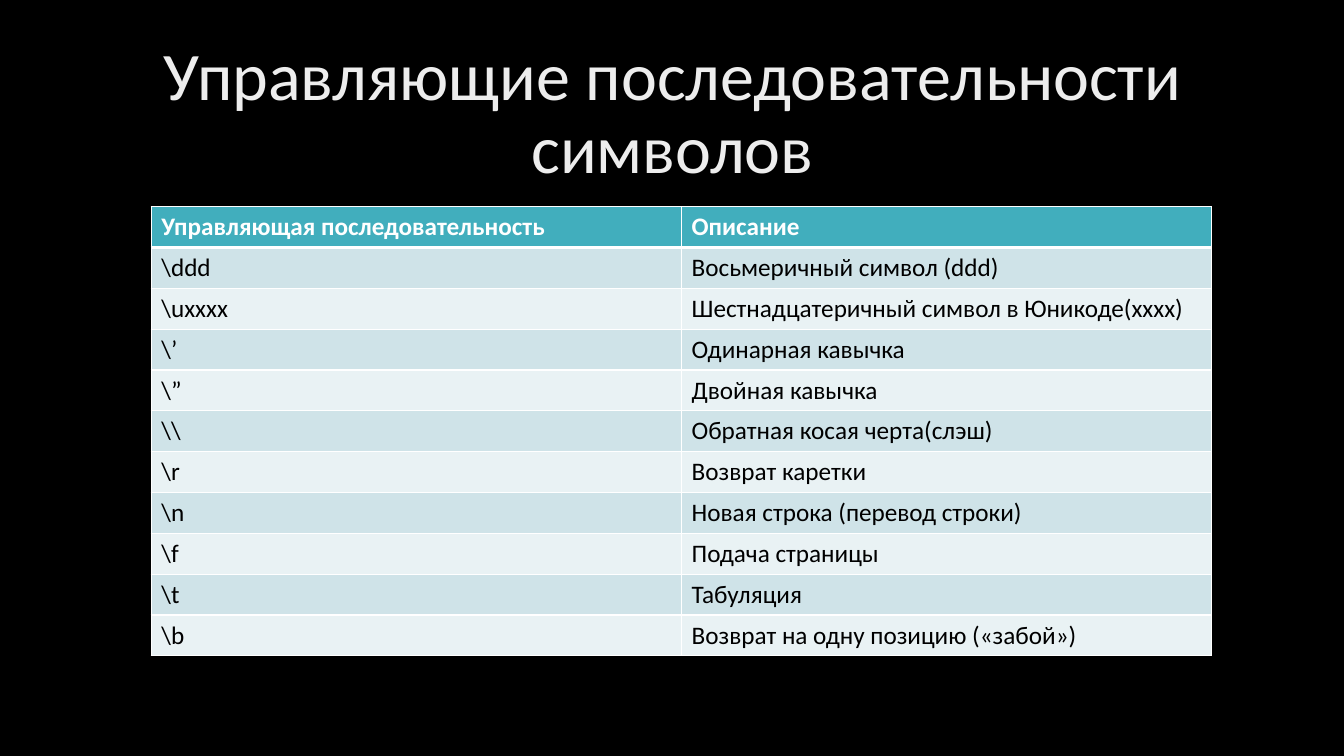
from lxml import etree
from pptx import Presentation
from pptx import util as u
from pptx.dml.color import RGBColor
from pptx.enum import text
from pptx.oxml.ns import qn

TITLE = "Управляющие последовательности символов"
ROWS = [
    ("Управляющая последовательность", "Описание"),
    (r"\ddd", "Восьмеричный символ (ddd)"),
    (r"\uxxxx", "Шестнадцатеричный символ в Юникоде(хххх)"),
    (r"\’", "Одинарная кавычка"),
    (r"\”", "Двойная кавычка"),
    ("\\\\", "Обратная косая черта(слэш)"),
    (r"\r", "Возврат каретки"),
    (r"\n", "Новая строка (перевод строки)"),
    (r"\f", "Подача страницы"),
    (r"\t", "Табуляция"),
    (r"\b", "Возврат на одну позицию («забой»)"),
]
HEADER_FILL = "41AEBD"
BAND_FILLS = ("CFE3E8", "E9F2F4")
LEFT, TOP, WIDTH, HEIGHT = 1.5, 2.05, 10.52, 4.46


def rgb(value):
    return RGBColor.from_string(value)


def add_run(p, content, size, color, bold=False):
    r = p.add_run()
    r.text = content
    r.font.name = "Calibri"
    r.font.size = u.Pt(size)
    r.font.bold = bold
    r.font.color.rgb = rgb(color)


def set_borders(cell, top, bottom):
    props = cell._tc.get_or_add_tcPr()
    widths = {"L": 1, "R": 1, "T": top, "B": bottom}
    for i, (side, width) in enumerate(widths.items()):
        ln = etree.Element(qn("a:ln" + side), w=str(u.Pt(width)))
        fill = etree.SubElement(ln, qn("a:solidFill"))
        etree.SubElement(fill, qn("a:srgbClr"), val="FFFFFF")
        props.insert(i, ln)


def add_title(s):
    sp = s.shapes.add_textbox(u.Inches(0.92), u.Inches(0.4), u.Inches(11.5), u.Inches(1.48))
    tf = sp.text_frame
    tf.word_wrap = True
    tf.vertical_anchor = text.MSO_ANCHOR.MIDDLE
    p = tf.paragraphs[0]
    p.alignment = text.PP_ALIGN.CENTER
    p.line_spacing = 0.9
    add_run(p, TITLE, 48.6, "EDEDED")


def add_escape_table(s):
    frame = s.shapes.add_table(len(ROWS), len(ROWS[0]), u.Inches(LEFT), u.Inches(TOP),
                               u.Inches(WIDTH), u.Inches(HEIGHT))
    table = frame.table
    for i, row in enumerate(ROWS):
        header = i == 0
        for j, content in enumerate(row):
            cell = table.cell(i, j)
            cell.fill.solid()
            cell.fill.fore_color.rgb = rgb(HEADER_FILL if header else BAND_FILLS[(i - 1) % 2])
            set_borders(cell, 3 if i == 1 else 1, 3 if header else 1)
            add_run(cell.text_frame.paragraphs[0], content, 18,
                    "FFFFFF" if header else "000000", header)


def main():
    prs = Presentation()
    prs.slide_width = u.Inches(13.33)
    prs.slide_height = u.Inches(7.5)
    s = prs.slides.add_slide(prs.slide_layouts[6])
    s.background.fill.solid()
    s.background.fill.fore_color.rgb = rgb("000000")
    add_title(s)
    add_escape_table(s)
    prs.save("out.pptx")


if __name__ == "__main__":
    main()
